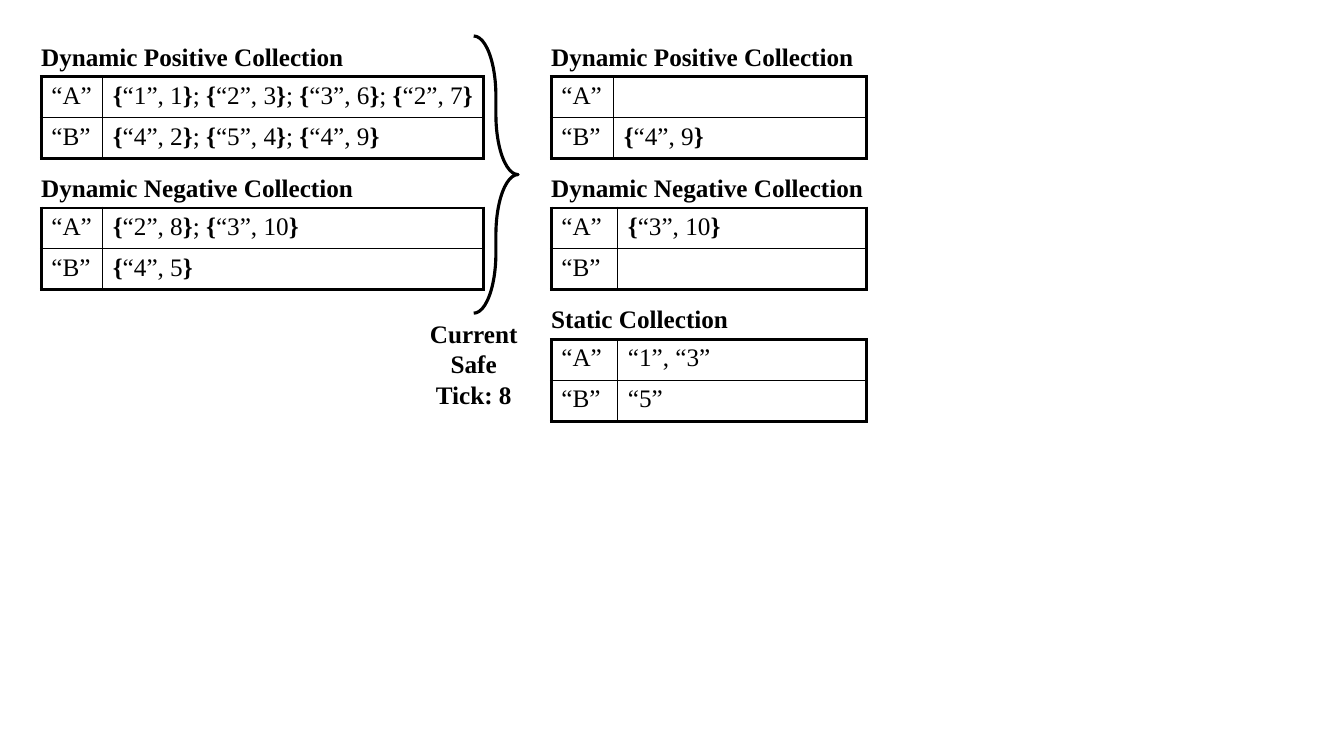
from itertools import groupby

from lxml.etree import SubElement
from pptx import Presentation
from pptx.dml.color import RGBColor
from pptx.enum.shapes import MSO_SHAPE
from pptx.enum.text import MSO_AUTO_SIZE, PP_ALIGN
from pptx.oxml.ns import qn
from pptx.util import Pt

HUES = {"ink": "000000"}
INK = RGBColor.from_string(HUES["ink"])
FONT = {"name": "Times New Roman", "size": Pt(18)}
FLAGS = {"first_row": False, "horz_banding": False}
THICK, THIN = 2.25, 1
TOP, PITCH, ROW, HEAD, INSET = 54.72, 93.85, 29.2, 29.08, 7.2


def put(thing, values):
    """Set each attribute of a thing from a dict."""
    for name, value in values.items():
        setattr(thing, name, value)


def write(para, text, bold=False):
    """Write text in runs, with curly braces always bold."""
    put(para.font, FONT)
    for brace, chars in groupby(text, lambda char: char in "{}"):
        run = para.add_run()
        run.text = "".join(chars)
        put(run.font, FONT | {"bold": bold or brace})
        run.font.color.rgb = INK


def label(slide, box, text, wrap=False, align=PP_ALIGN.LEFT):
    """Place a bold label in the given box."""
    frame = slide.shapes.add_textbox(*map(Pt, box)).text_frame
    put(frame, {"word_wrap": wrap, "auto_size": MSO_AUTO_SIZE.SHAPE_TO_FIT_TEXT})
    frame.paragraphs[0].alignment = align
    write(frame.paragraphs[0], text, bold=True)


def edge(cell, side, width):
    """Draw one side of a cell border."""
    props = cell._tc.get_or_add_tcPr()
    line = SubElement(props, qn(f"a:ln{side}"), w=str(Pt(width)))
    fill = SubElement(line, qn("a:solidFill"))
    SubElement(fill, qn("a:srgbClr"), val=HUES["ink"])


def store(slide, box, title, title_width, key_width, values):
    """Place a titled table of keys and values in the given box."""
    left, top, width, height = box
    label(slide, (left - INSET, top - HEAD, title_width, HEAD), title)
    table = slide.shapes.add_table(len(values), 2, *map(Pt, box)).table
    put(table, FLAGS)
    for col, span in zip(table.columns, (key_width, width - key_width)):
        col.width = Pt(span)
    last = len(values) - 1
    for row, pair in enumerate(zip(("“A”", "“B”"), values)):
        table.rows[row].height = Pt(height / len(values))
        for col, text in enumerate(pair):
            cell = table.cell(row, col)
            outer = {"L": col == 0, "R": col == 1, "T": row == 0, "B": row == last}
            for side, thick in outer.items():
                edge(cell, side, THICK if thick else THIN)
            cell.fill.background()
            write(cell.text_frame.paragraphs[0], text)


def stack(slide, left, width, stores):
    """Place a column of tables at an equal pitch."""
    for place, (title, title_width, key_width, values) in enumerate(stores):
        box = left, TOP + place * PITCH, width, 2 * ROW
        store(slide, box, title, title_width, key_width, values)


def brace(slide, box):
    """Place the right brace in the given box."""
    shape = slide.shapes.add_shape(MSO_SHAPE.RIGHT_BRACE, *map(Pt, box))
    shape.shadow.inherit = False
    shape.fill.background()
    shape.line.color.rgb = INK
    shape.line.width = Pt(THICK)
    shape.adjustments[0] = 1.354


def main():
    """Build and save the slide."""
    deck = Presentation()
    put(deck, {"slide_width": Pt(960), "slide_height": Pt(540)})
    slide = deck.slides.add_slide(deck.slide_layouts[6])
    plus, minus = "Dynamic Positive Collection", "Dynamic Negative Collection"
    stack(slide, 29.5, 315.7, [
        (plus, 232.6, 43.9, ("{“1”, 1}; {“2”, 3}; {“3”, 6}; {“2”, 7}",
                             "{“4”, 2}; {“5”, 4}; {“4”, 9}")),
        (minus, 239.8, 43.9, ("{“2”, 8}; {“3”, 10}", "{“4”, 5}")),
    ])
    brace(slide, (338.4, 25.7, 31.7, 198))
    stack(slide, 393.8, 225.4, [
        (plus, 232.6, 44.6, ("", "{“4”, 9}")),
        (minus, 239.8, 47.5, ("{“3”, 10}", "")),
        ("Static Collection", 142.6, 47.5, ("“1”, “3”", "“5”")),
    ])
    label(slide, (298.8, 223.9, 79.2, 72.7), "Current Safe Tick: 8", True, PP_ALIGN.CENTER)
    deck.save("out.pptx")


if __name__ == "__main__":
    main()
